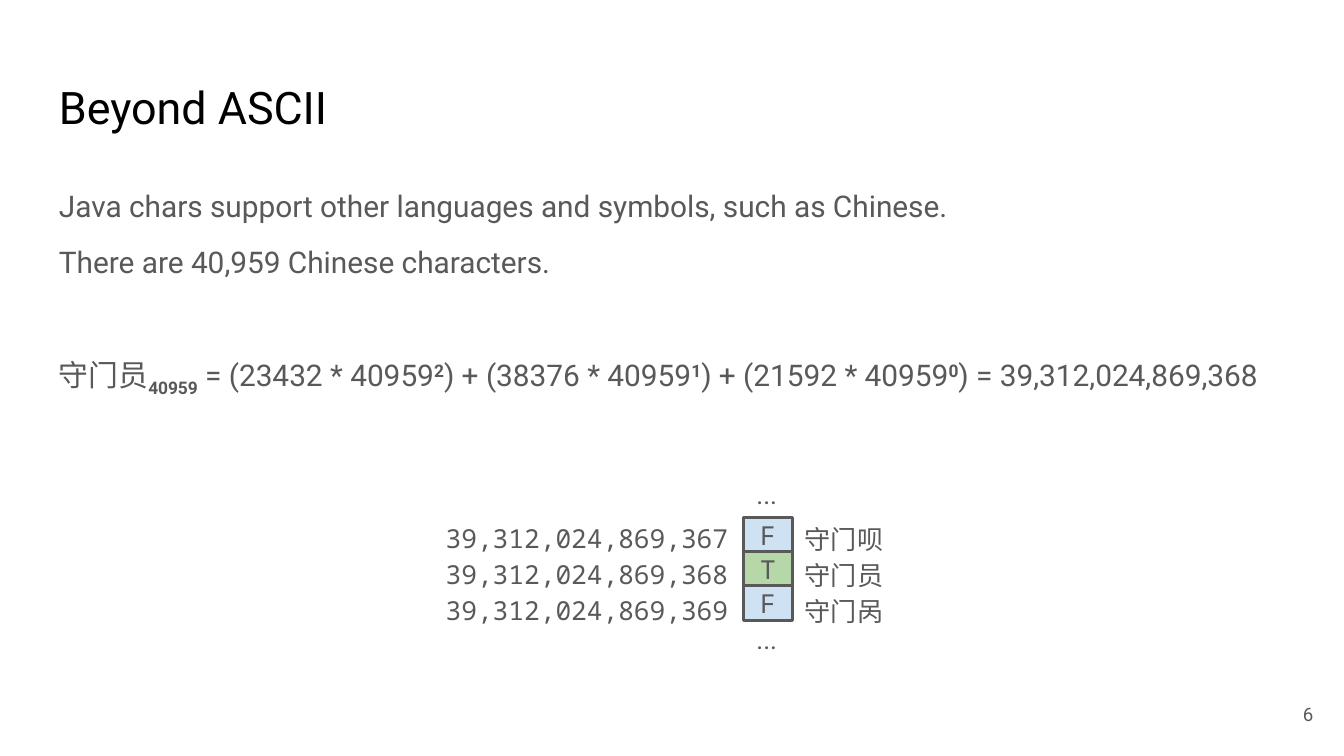
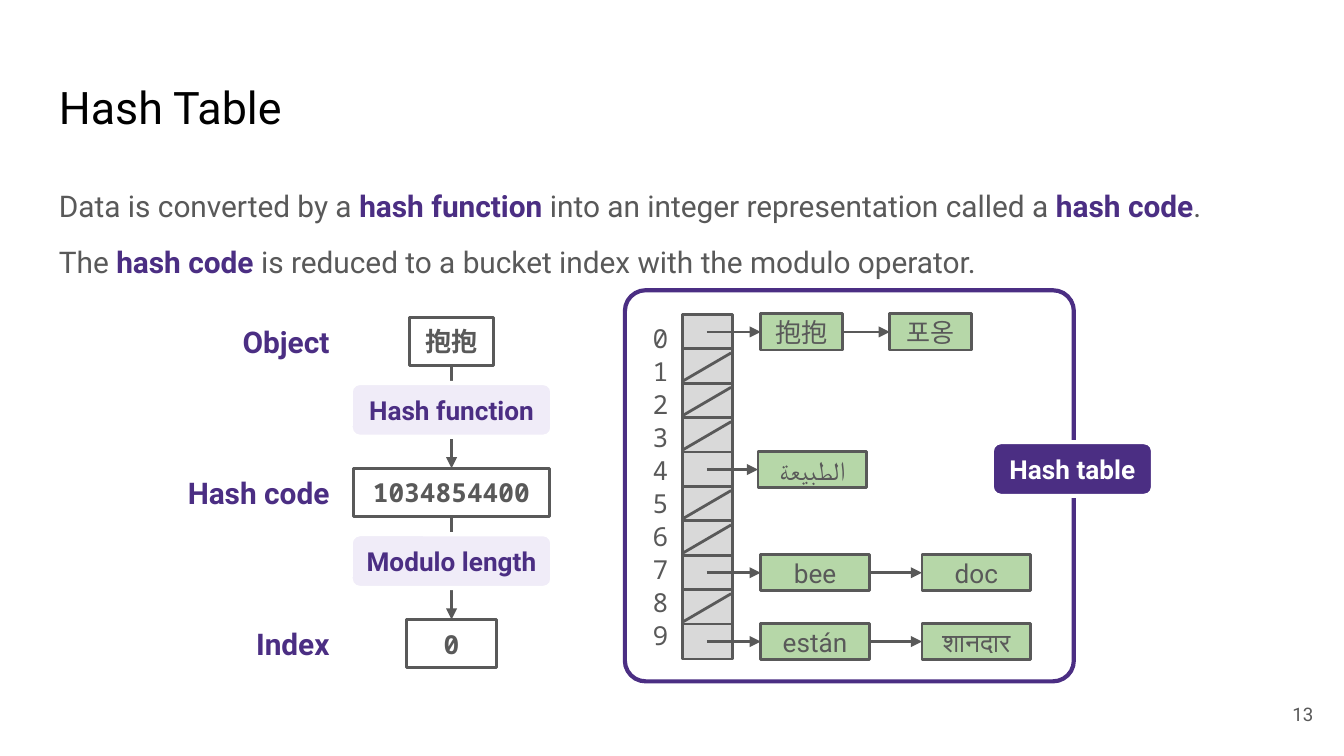
from lxml import etree
from pptx import Presentation
from pptx import util as u
from pptx.dml.color import RGBColor
from pptx.enum import shapes, text
from pptx.oxml import ns

COLORS = {
    "black": "000000", "white": "FFFFFF", "gray": "595959", "purple": "4B2E83",
    "lilac": "F0ECF8", "blue": "CFE2F3", "green": "B6D7A8", "silver": "D9D9D9",
}
COLUMNS, ROWS = 100, 56.25
SANS, MONO = "Roboto", "Noto Sans Mono"
ALIGN = {"left": text.PP_ALIGN.LEFT, "center": text.PP_ALIGN.CENTER, "right": text.PP_ALIGN.RIGHT}
ANCHOR = {"top": text.MSO_ANCHOR.TOP, "middle": text.MSO_ANCHOR.MIDDLE}
KEY = {"color": "purple", "bold": True}
SUB = {"bold": True, "baseline": -25000}
SUPER = {"bold": True, "baseline": 30000}


def color(name):
    return RGBColor.from_string(COLORS[name])


def write(box, paragraphs, size=14, font=SANS, color_name="gray", bold=False,
          align="left", anchor="middle", spacing=None, before=()):
    frame = box.text_frame
    frame.word_wrap = True
    frame.vertical_anchor = ANCHOR[anchor]
    frame.margin_left = frame.margin_right = u.Inches(0.1)
    frame.margin_top = frame.margin_bottom = u.Inches(0.1)
    for index, content in enumerate(paragraphs):
        para = frame.add_paragraph() if index else frame.paragraphs[0]
        para.alignment = ALIGN[align]
        if spacing:
            para.line_spacing = spacing
        if index and before:
            para.space_before = u.Pt(before[index - 1])
        for part in [content] if isinstance(content, str) else content:
            words, style = (part, {}) if isinstance(part, str) else part
            span = para.add_run()
            span.text = words
            span.font.name, span.font.size = font, u.Pt(size)
            span.font.bold = style.get("bold", bold)
            span.font.color.rgb = color(style.get("color", color_name))
            if "baseline" in style:
                span.font._element.set("baseline", str(style["baseline"]))


class Builder:
    def __init__(self):
        self.deck = Presentation()
        self.deck.slide_width, self.deck.slide_height = u.Inches(10), u.Inches(5.625)
        self.page = None

    def x(self, columns):
        return round(self.deck.slide_width * columns / COLUMNS)

    def y(self, rows):
        return round(self.deck.slide_height * rows / ROWS)

    def place(self, left, top, width, height):
        return self.x(left), self.y(top), self.x(width), self.y(height)

    def start(self, title, number, body, before):
        self.page = self.deck.slides.add_slide(self.deck.slide_layouts[6])
        self.label([title], 3.4, 4.9, 93.2, 6.3, size=24, color_name="black", anchor="top")
        self.label(body, 3.4, 12.6, 93.2, 9, size=16, anchor="top", spacing=1.15, before=before)
        self.label([str(number)], 92.7, 51, 6, 4.3, size=10, align="right")

    def label(self, paragraphs, left, top, width, height, **style):
        box = self.page.shapes.add_textbox(*self.place(left, top, width, height))
        write(box, paragraphs, **style)

    def block(self, left, top, width, height, fill=None, line="gray", weight=1.5,
              words=None, radius=None, **style):
        kind = shapes.MSO_SHAPE.RECTANGLE if radius is None else shapes.MSO_SHAPE.ROUNDED_RECTANGLE
        box = self.page.shapes.add_shape(kind, *self.place(left, top, width, height))
        box.shadow.inherit = False
        if radius is not None:
            box.adjustments[0] = radius
        if fill:
            box.fill.solid()
            box.fill.fore_color.rgb = color(fill)
        else:
            box.fill.background()
        box.line.color.rgb = color(line)
        box.line.width = u.Pt(weight)
        if words:
            write(box, [words], align="center", **style)

    def pill(self, words, left, top, width, fill="lilac", ink="purple"):
        self.block(left, top, width, 4, fill=fill, line="white", weight=2.25, radius=0.167,
                   words=words, color_name=ink, bold=True)

    def line(self, left, top, right, bottom, arrow=False):
        link = self.page.shapes.add_connector(
            shapes.MSO_CONNECTOR.STRAIGHT, self.x(left), self.y(top), self.x(right), self.y(bottom))
        link.line.color.rgb = color("gray")
        link.line.width = u.Pt(1.5)
        if arrow:
            etree.SubElement(link.line._get_or_add_ln(), ns.qn("a:tailEnd"), type="triangle")
        etree.SubElement(link._element.spPr, ns.qn("a:effectLst"))


def beyond_ascii(b):
    formula = ["守门员", ("40959", SUB), " = (23432 * 40959", ("2", SUPER),
               ") + (38376 * 40959", ("1", SUPER), ") + (21592 * 40959", ("0", SUPER),
               ") = 39,312,024,869,368"]
    b.start("Beyond ASCII", 6, [
        "Java chars support other languages and symbols, such as Chinese.",
        "There are 40,959 Chinese characters.", formula], before=(8, 38))
    b.label(["守门呗", "守门员", "守门呙"], 58.9, 38.7, 9, 7.8, font=MONO, spacing=1.15)
    b.label([f"39,312,024,869,{end}" for end in (367, 368, 369)], 32, 38.2, 23.2, 8.7,
            font=MONO, align="right", spacing=1.15)
    for index, (flag, fill) in enumerate([("F", "blue"), ("T", "green"), ("F", "blue")]):
        b.block(55.3, 38.5 + 2.55 * index, 3.7, 2.6, fill=fill, words=flag, font=MONO)
    for top in (34.6, 45.4):
        b.label(["..."], 55.3, top, 3.7, 2.6, anchor="top")


def hash_steps(b):
    center, first, pitch, height = 33.6, 23.6, 11.25, 3.6
    steps = [("Object", "抱抱", 6.3), ("Hash code", "1034854400", 14.6), ("Index", "0", 6.7)]
    for index, (name, value, width) in enumerate(steps):
        top = first + pitch * index
        b.label([name], 12.4, top, 13.1, height, size=16, color_name="purple", bold=True, align="right")
        b.block(center - width / 2, top, width, height, fill="white", words=value, font=MONO, bold=True)
    for index, action in enumerate(["Hash function", "Modulo length"]):
        top = first + pitch * index
        b.line(center, top + height, center, top + pitch, arrow=True)
        b.pill(action, center - 7.5, top + 4.9, 15)


def hash_buckets(b):
    left, first, pitch, width, height = 50.8, 23.4, 2.56, 3.7, 2.6
    chains = {
        0: [("抱抱", 56.6, 6.1), ("포옹", 66.2, 6.1)],
        4: [("الطبيعة", 56.4, 8.1)],
        7: [("bee", 56.6, 8.1), ("doc", 68.6, 8.1)],
        9: [("están", 56.6, 8.1), ("शानदार", 68.6, 8.1)],
    }
    b.block(46.5, 21.6, 33.4, 29.1, line="purple", weight=2.25, radius=0.053)
    b.label([str(index) for index in range(10)], 45.9, 22.9, 4.8, 27.5,
            font=MONO, align="right", anchor="top", spacing=1.05)
    for index in range(10):
        b.block(left, first + pitch * index, width, height, fill="silver")
    for index in range(10):
        top = first + pitch * index
        middle = top + height / 2
        if index not in chains:
            b.line(left, top + 2.4, left + 3.6, top + 0.3)
        start = left + 1.8
        for word, node, size in chains.get(index, []):
            b.line(start, middle, node, middle, arrow=True)
            b.block(node, middle - 1.35, size, 2.7, fill="green", words=word)
            start = node + size
    b.pill("Hash table", 73.8, 32.9, 12, fill="purple", ink="white")


def main():
    b = Builder()
    beyond_ascii(b)
    b.start("Hash Table", 13, [
        ["Data is converted by a ", ("hash function", KEY),
         " into an integer representation called a ", ("hash code", KEY), "."],
        ["The ", ("hash code", KEY), " is reduced to a bucket index with the modulo operator."],
    ], before=(8,))
    hash_steps(b)
    hash_buckets(b)
    b.deck.save("out.pptx")


if __name__ == "__main__":
    main()
